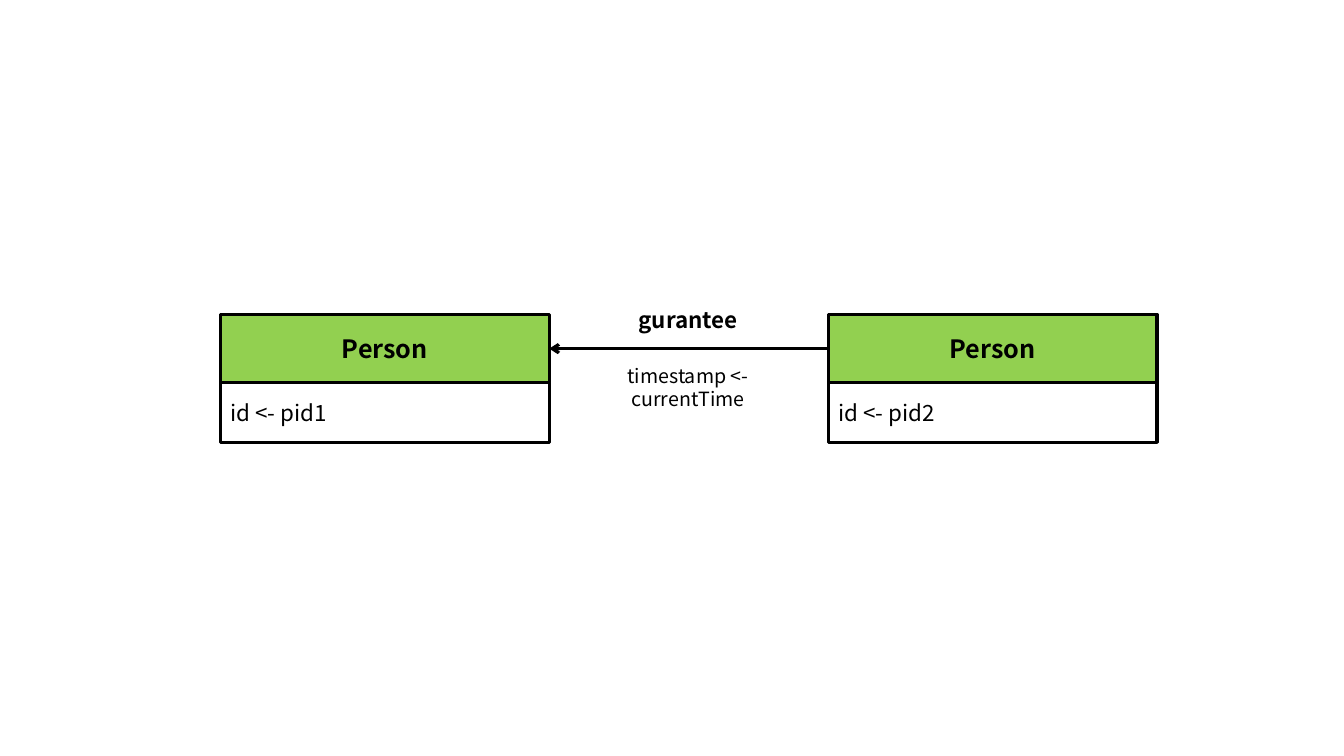
from pptx import Presentation
from pptx.dml.color import RGBColor
from pptx.enum.shapes import MSO_CONNECTOR, MSO_SHAPE
from pptx.enum.text import MSO_ANCHOR, PP_ALIGN
from pptx.oxml.ns import qn
from pptx.util import Cm, Pt
from lxml.etree import SubElement

BLACK, GREEN = "000000", "92D050"
FONT = "Noto Sans CJK SC"


def color(hex_string):
    return RGBColor.from_string(hex_string)


def write(shape, text, size=16, bold=False, align=PP_ALIGN.CENTER, anchor=MSO_ANCHOR.TOP):
    frame = shape.text_frame
    frame.word_wrap = True
    frame.vertical_anchor = anchor
    para = frame.paragraphs[0]
    para.alignment = align
    span = para.add_run()
    span.text = text
    span.font.name = FONT
    span.font.size = Pt(size)
    span.font.bold = bold
    span.font.color.rgb = color(BLACK)


deck = Presentation()
deck.slide_width, deck.slide_height = Cm(33.87), Cm(19.05)
page = deck.slides.add_slide(deck.slide_layouts[6])

# Person nodes: a green title above an attribute row
node_width, node_top = 8.28, 7.92
title_height, row_height = 1.73, 1.5
left_node, right_node = 5.56, 20.88

for left, attribute in [(left_node, "id <- pid1"), (right_node, "id <- pid2")]:
    title = page.shapes.add_shape(MSO_SHAPE.RECTANGLE, Cm(left), Cm(node_top),
                                  Cm(node_width), Cm(title_height))
    title.fill.solid()
    title.fill.fore_color.rgb = color(GREEN)
    write(title, "Person", size=18, bold=True, anchor=MSO_ANCHOR.MIDDLE)

    row = page.shapes.add_shape(MSO_SHAPE.RECTANGLE, Cm(left), Cm(node_top + title_height),
                                Cm(node_width), Cm(row_height))
    row.fill.background()
    write(row, attribute, align=PP_ALIGN.LEFT, anchor=MSO_ANCHOR.MIDDLE)

    for box in (title, row):
        box.shadow.inherit = False
        box.line.color.rgb = color(BLACK)
        box.line.width = Pt(2.25)

# Guarantee edge, pointing from the right node to the left one
edge_y = Cm(node_top + title_height / 2)
edge = page.shapes.add_connector(MSO_CONNECTOR.STRAIGHT, Cm(right_node), edge_y,
                                 Cm(left_node + node_width), edge_y)
edge.line.color.rgb = color(BLACK)
edge.line.width = Pt(2.25)
SubElement(edge.line._get_or_add_ln(), qn("a:tailEnd"), type="arrow")
SubElement(edge._element.spPr, qn("a:effectLst"))

# Edge labels
edge_name = page.shapes.add_textbox(Cm(14.48), Cm(7.6), Cm(5.72), Cm(0.94))
write(edge_name, "gurantee", bold=True)
edge_attribute = page.shapes.add_textbox(Cm(14.15), Cm(9.04), Cm(6.38), Cm(0.86))
write(edge_attribute, "timestamp <- currentTime", size=14)

deck.save("out.pptx")
